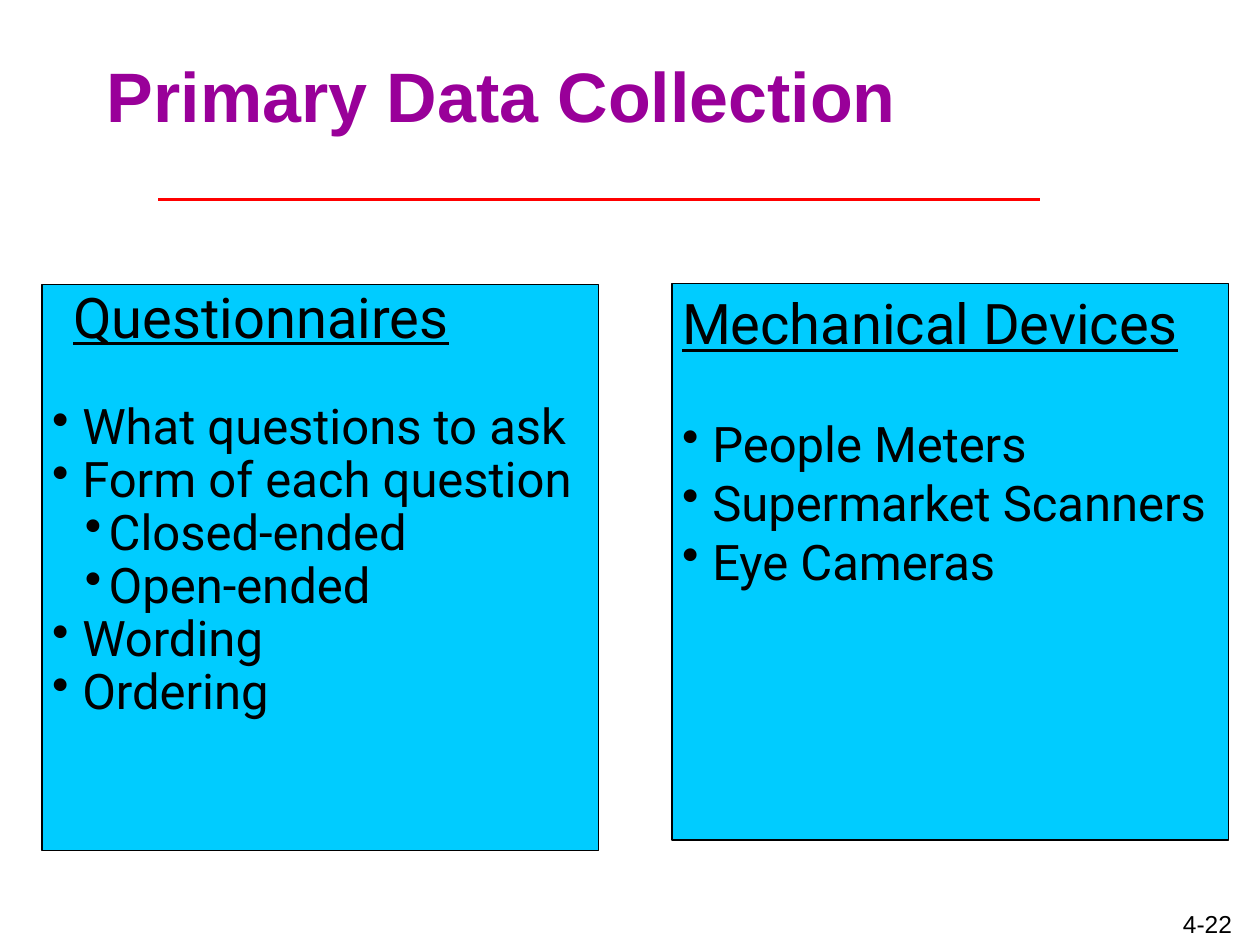
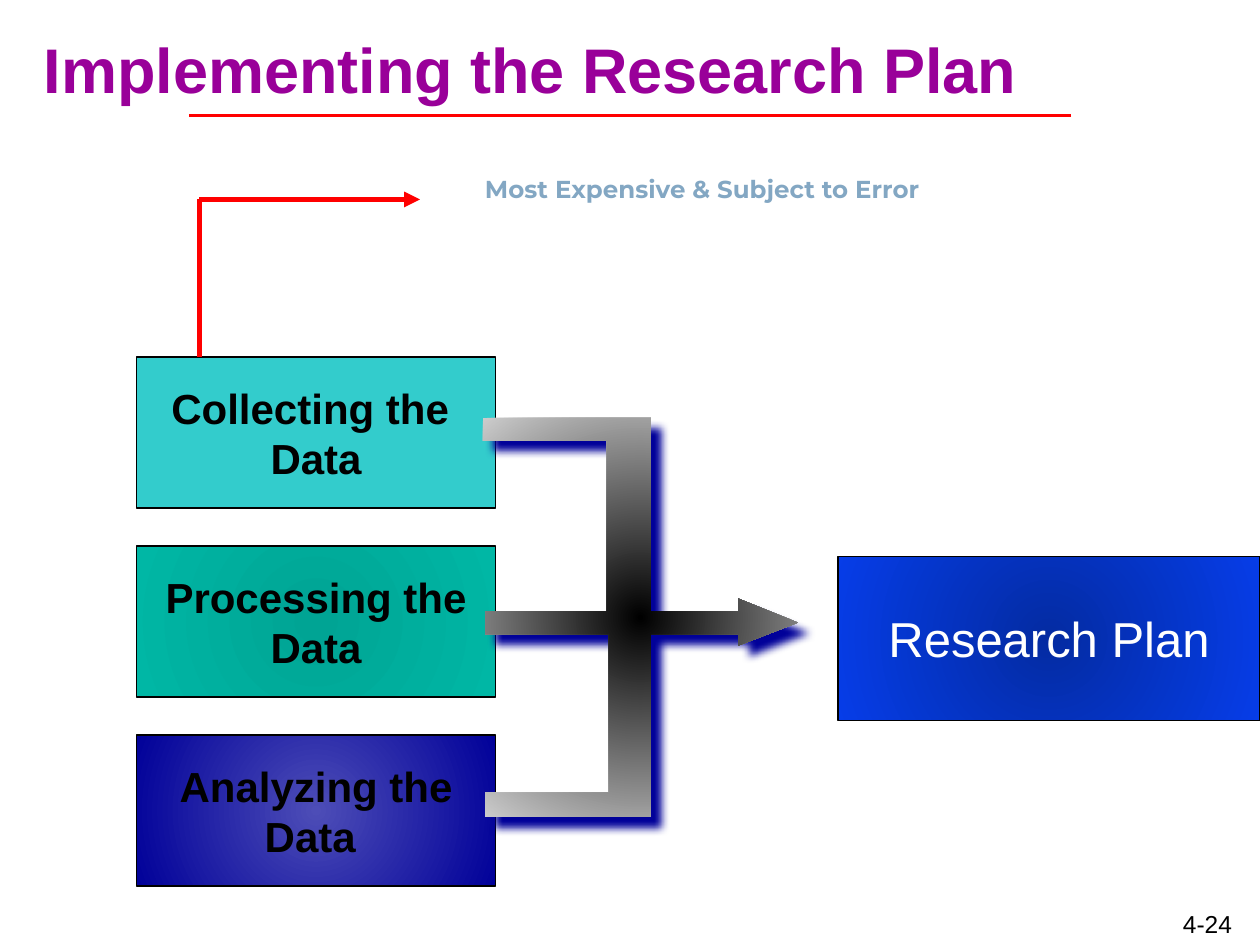
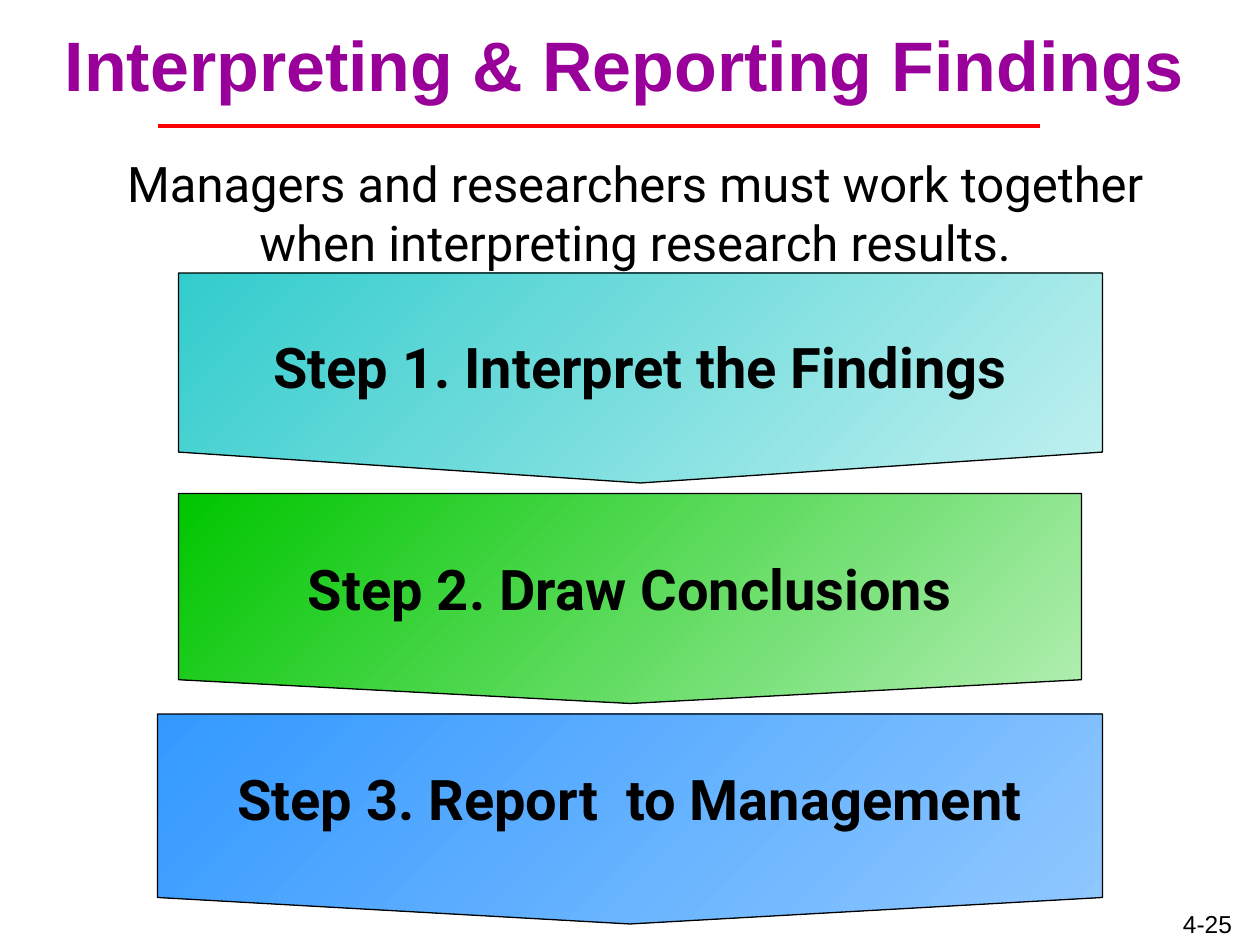
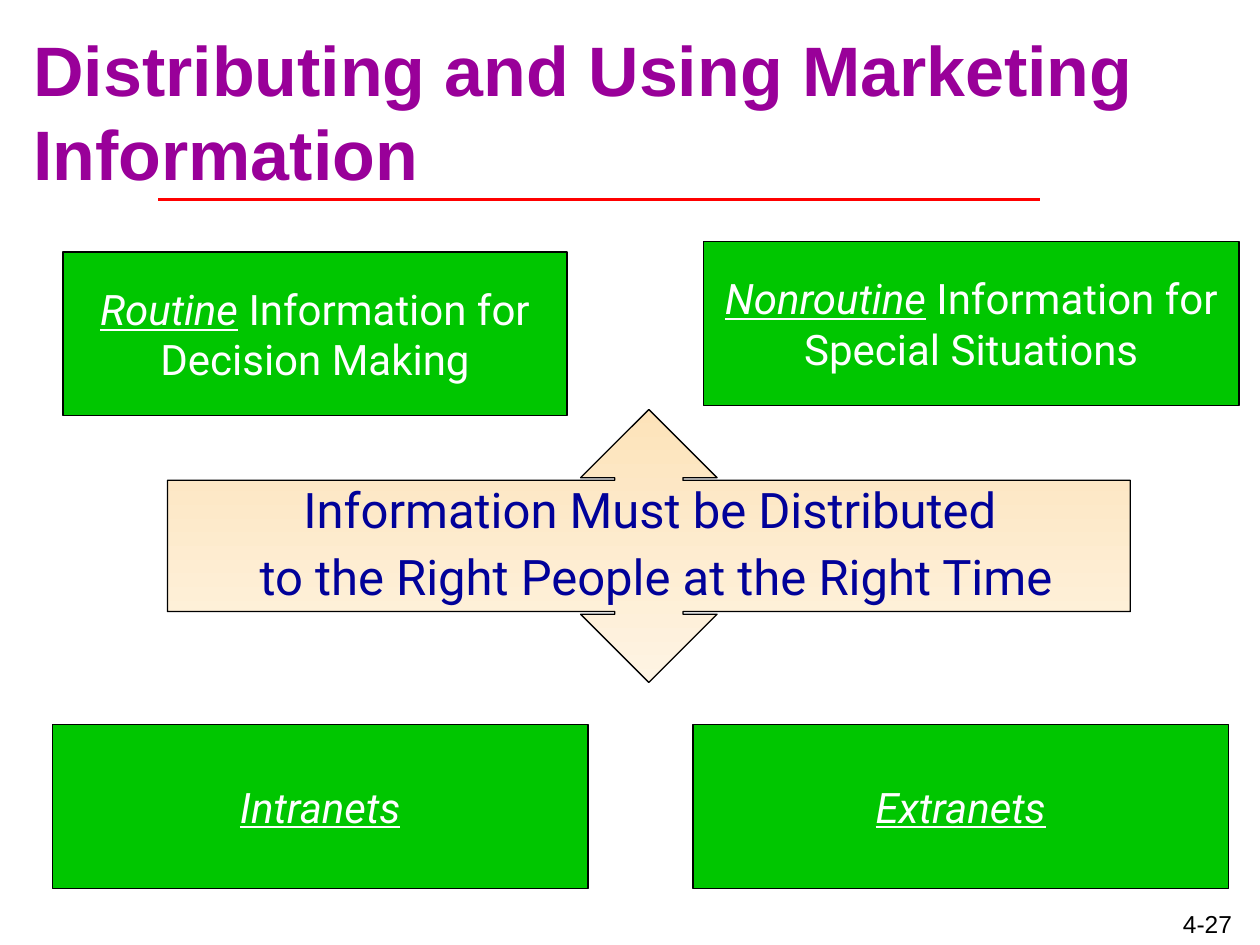
from dataclasses import dataclass, replace
from lxml.etree import SubElement
from pptx import Presentation
from pptx.dml.color import RGBColor
from pptx.enum.shapes import MSO_CONNECTOR, MSO_SHAPE
from pptx.enum.text import MSO_ANCHOR, PP_ALIGN
from pptx.oxml.ns import qn
from pptx.util import Emu, Inches, Pt

COLUMNS, ROWS = 120, 90
WIDTH, HEIGHT = Inches(10), Inches(7.5)


@dataclass(frozen=True)
class Style:
    font: str
    size: int
    color: str = "000000"
    bold: bool = False
    italic: bool = False
    underline: bool = False


@dataclass(frozen=True)
class Theme:
    outline: str = "000000"
    rule: str = "FF0000"
    panel: str = "00CCFF"
    turquoise: str = "33CCCC"
    green: str = "00C600"
    navy: str = "010199"
    processing: tuple = ("00A494", "00B7A5")
    analyzing: tuple = ("4D4DB7", "010199")
    plan: tuple = ("042BA2", "063DE8")
    bracket: tuple = ("000000", "CCCCCC")
    interpret: tuple = ("33CCCC", "C1F0F0")
    conclude: tuple = ("00C600", "B2EEB2")
    report: tuple = ("3399FF", "91C8FF")
    cream: tuple = ("FDE3BA", "FEF4E3")
    title: Style = Style("Arial", 40, "990099", bold=True)
    number: Style = Style("Arial", 14)
    heading: Style = Style("Roboto", 32, underline=True)
    body: Style = Style("Roboto", 28)
    stage: Style = Style("Arial", 24, bold=True)
    result: Style = Style("Arial", 28, "FFFFFF")
    warning: Style = Style("Montserrat", 14, "83A7C3", bold=True)
    step: Style = Style("Roboto", 32, bold=True)
    message: Style = Style("Roboto", 28, "010199")
    channel: Style = Style("Roboto", 24, "FFFFFF")
    emphasis: Style = Style("Roboto", 24, "FFFFFF", italic=True, underline=True)


@dataclass(frozen=True)
class Line:
    runs: tuple
    before: float = 0
    indent: float = 0
    hang: float = 0


THEME = Theme()


def col(count):
    return Emu(round(WIDTH * count / COLUMNS))


def row(count):
    return Emu(round(HEIGHT * count / ROWS))


def cells(left, top, width, height):
    return col(left), row(top), col(width), row(height)


def line(text, style, **layout):
    return Line(((text, style),), **layout)


def bullet(text, level=0, before=0):
    indent, hang = ((0.24, 0.24), (0.45, 0.19))[level]
    return line(text, THEME.body, before=before, indent=indent, hang=hang)


def add_run(paragraph, text, style):
    run = paragraph.add_run()
    run.text = text
    font = run.font
    font.name, font.size = style.font, Pt(style.size)
    font.color.rgb = RGBColor.from_string(style.color)
    font.bold, font.italic, font.underline = style.bold, style.italic, style.underline


def write(shape, lines, align=PP_ALIGN.CENTER, anchor=MSO_ANCHOR.MIDDLE,
          spacing=1.0, inset=0.1, left_inset=None):
    frame = shape.text_frame
    frame.word_wrap = True
    frame.vertical_anchor = anchor
    frame.margin_left = Inches(left_inset or inset)
    frame.margin_right = Inches(inset)
    frame.margin_top = frame.margin_bottom = Inches(inset / 2)
    for index, content in enumerate(lines):
        paragraph = frame.add_paragraph() if index else frame.paragraphs[0]
        properties = paragraph._p.get_or_add_pPr()
        properties.set("marL", str(Inches(content.indent)))
        properties.set("indent", str(-Inches(content.hang)))
        if content.hang:
            SubElement(properties, qn("a:buChar"), char="•")
        paragraph.alignment = align
        paragraph.line_spacing = spacing
        if content.before:
            paragraph.space_before = Pt(content.before)
        for text, style in content.runs:
            add_run(paragraph, text, style)


def add_text(slide, box, lines, **layout):
    write(slide.shapes.add_textbox(*box), lines, **layout)


def paint(shape, fill, angle=None, outlined=True):
    shape.shadow.inherit = False
    if isinstance(fill, str):
        shape.fill.solid()
        shape.fill.fore_color.rgb = RGBColor.from_string(fill)
    else:
        shape.fill.gradient()
        for stop, color in zip(shape.fill.gradient_stops, fill):
            stop.color.rgb = RGBColor.from_string(color)
        if angle is None:
            make_radial(shape)
        else:
            shape.fill.gradient_angle = angle
    if outlined:
        shape.line.color.rgb = RGBColor.from_string(THEME.outline)
        shape.line.width = Pt(0.75)
    else:
        shape.line.fill.background()


def make_radial(shape):
    gradient = shape._element.spPr.find(qn("a:gradFill"))
    gradient.remove(gradient.find(qn("a:lin")))
    radial = SubElement(gradient, qn("a:path"))
    radial.set("path", "circle")
    SubElement(radial, qn("a:fillToRect"), l="50000", t="50000", r="50000", b="50000")


def cast_shadow(shape, color):
    effects = shape._element.spPr.find(qn("a:effectLst"))
    shadow = SubElement(effects, qn("a:outerShdw"), blurRad=str(Pt(5)),
                        dist=str(Pt(8.5)), dir="2700000", rotWithShape="0")
    SubElement(shadow, qn("a:srgbClr"), val=color)


def add_box(slide, box, fill, lines, **layout):
    shape = slide.shapes.add_shape(MSO_SHAPE.RECTANGLE, *box)
    paint(shape, fill)
    write(shape, lines, **layout)


def add_outline(slide, points):
    start, *others = [(col(x), row(y)) for x, y in points]
    builder = slide.shapes.build_freeform(*start, scale=1.0)
    builder.add_line_segments(others, close=True)
    return builder.convert_to_shape()


def add_line(slide, start, end, width, arrow=False):
    connector = slide.shapes.add_connector(
        MSO_CONNECTOR.STRAIGHT, col(start[0]), row(start[1]), col(end[0]), row(end[1]))
    connector.line.color.rgb = RGBColor.from_string(THEME.rule)
    connector.line.width = Pt(width)
    if arrow:
        SubElement(connector.line._get_or_add_ln(), qn("a:tailEnd"), type="triangle")
    SubElement(connector._element.spPr, qn("a:effectLst"))


def add_step(slide, left, top, width, fill, point, text, lift=0):
    height = 20
    center_x, center_y = col(left + width / 2), row(top + height / 2)
    length, depth = col(width), row(height)
    banner = slide.shapes.add_shape(
        MSO_SHAPE.PENTAGON, center_x - depth // 2, center_y - length // 2, depth, length)
    banner.rotation = 90
    banner.adjustments[0] = point
    paint(banner, fill, angle=45)
    label = cells(left, top - lift, width, height * (1 - point / 2))
    add_text(slide, label, [line(text, THEME.step)], spacing=0.9)


def add_slide(deck, number, title, title_box, rule_row, rule_left=15, title_size=40):
    slide = deck.slides.add_slide(deck.slide_layouts[6])
    add_text(slide, cells(110, 86, 10, 4), [line(number, THEME.number)],
             anchor=MSO_ANCHOR.TOP)
    add_text(slide, cells(*title_box), [line(title, replace(THEME.title, size=title_size))],
             align=PP_ALIGN.LEFT)
    add_line(slide, (rule_left + 84, rule_row), (rule_left, rule_row), 2)
    return slide


def build_collection(deck):
    slide = add_slide(deck, "4-22", "Primary Data Collection", (9, 2, 103, 14), 19)
    panel = dict(align=PP_ALIGN.LEFT, anchor=MSO_ANCHOR.TOP, inset=0.08)
    add_box(slide, cells(64, 27, 53, 53), THEME.panel, [
        line("Mechanical Devices", THEME.heading),
        bullet("People Meters", before=33),
        bullet("Supermarket Scanners"),
        bullet("Eye Cameras"),
    ], **panel)
    add_box(slide, cells(4, 27.1, 53, 53.9), THEME.panel, [
        line("Questionnaires", THEME.heading, indent=0.17),
        bullet("What questions to ask", before=30),
        bullet("Form of each question"),
        bullet("Closed-ended", level=1),
        bullet("Open-ended", level=1),
        bullet("Wording"),
        bullet("Ordering"),
    ], spacing=0.9, **panel)


def build_implementation(deck):
    slide = add_slide(deck, "4-24", "Implementing the Research Plan", (3, 3, 114.4, 7),
                      11, rule_left=18, title_size=36)
    stages = [
        (THEME.turquoise, "Collecting the ", "Data"),
        (THEME.processing, "Processing the", "Data"),
        (THEME.analyzing, "Analyzing the", "Data "),
    ]
    for index, (fill, *words) in enumerate(stages):
        add_box(slide, cells(13, 34 + 18 * index, 34.2, 14.4), fill,
                [line(word, THEME.stage) for word in words])

    bracket = add_outline(slide, [
        (46, 39.8), (62, 39.8), (62, 58.2), (70.3, 58.2), (70.3, 57), (76, 59.3),
        (70.3, 61.5), (70.3, 60.4), (62, 60.4), (62, 77.8), (46.2, 77.8),
        (46.2, 75.5), (58, 75.5), (58, 60.4), (46.2, 60.4), (46.2, 58.2),
        (57.8, 58.2), (57.8, 42), (46, 42),
    ])
    paint(bracket, THEME.bracket, outlined=False)
    cast_shadow(bracket, THEME.navy)

    add_box(slide, cells(79.8, 53, 40.2, 15.6), THEME.plan,
            [line("Research Plan", THEME.result)])
    add_text(slide, cells(45, 16, 72, 11.9),
             [line("Most Expensive & Subject to Error", THEME.warning)],
             align=PP_ALIGN.LEFT, anchor=MSO_ANCHOR.TOP)
    add_line(slide, (19, 34), (19, 19), 3)
    add_line(slide, (19, 19), (40, 19), 3, arrow=True)


def build_findings(deck):
    slide = add_slide(deck, "4-25", "Interpreting & Reporting Findings", (5, 1, 112, 10), 12)
    add_text(slide, cells(7, 14, 107, 12.4), [line(
        "Managers and researchers must work together when interpreting research results.",
        THEME.body)], anchor=MSO_ANCHOR.TOP)
    steps = [
        (17, 88, THEME.interpret, 0.147, "Step 1. Interpret the Findings", 0),
        (17, 86, THEME.conclude, 0.113, "Step 2. Draw Conclusions", 0),
        (15, 90, THEME.report, 0.126, "Step 3. Report  to Management", 1),
    ]
    for index, (left, width, fill, point, text, lift) in enumerate(steps):
        add_step(slide, left, 26 + 21 * index, width, fill, point, text, lift)


def build_distribution(deck):
    slide = add_slide(deck, "4-27", "Distributing and Using Marketing Information",
                      (2, 3, 117, 15), 19)
    center_x, center_y = 61.8, 52
    shoulder = [(-45.85, -6.25), (-3.25, -6.25), (-3.25, -6.5), (-6.5, -6.5)]
    upper = shoulder + [(0, -13)] + [(-x, y) for x, y in reversed(shoulder)]
    lower = [(x, -y) for x, y in reversed(upper)]
    arrow = add_outline(slide, [(center_x + x, center_y + y) for x, y in upper + lower])
    paint(arrow, THEME.cream, angle=270)
    write(arrow, [
        line("Information Must be Distributed ", THEME.message),
        line("to the Right People at the Right Time", THEME.message, before=8.4),
    ], spacing=0.9, inset=0.09, left_inset=0.2)

    channels = [
        (6, 24, 48, "Routine", " Information for Decision Making"),
        (67, 23, 51, "Nonroutine", " Information for Special Situations"),
        (5, 69, 51, "Intranets", ""),
        (66, 69, 51, "Extranets", ""),
    ]
    for left, top, width, kind, purpose in channels:
        runs = [(kind, THEME.emphasis)]
        if purpose:
            runs.append((purpose, THEME.channel))
        add_box(slide, cells(left, top, width, 15.6), THEME.green, [Line(tuple(runs))])


def main():
    deck = Presentation()
    deck.slide_width, deck.slide_height = WIDTH, HEIGHT
    build_collection(deck)
    build_implementation(deck)
    build_findings(deck)
    build_distribution(deck)
    deck.save("out.pptx")


if __name__ == "__main__":
    main()
